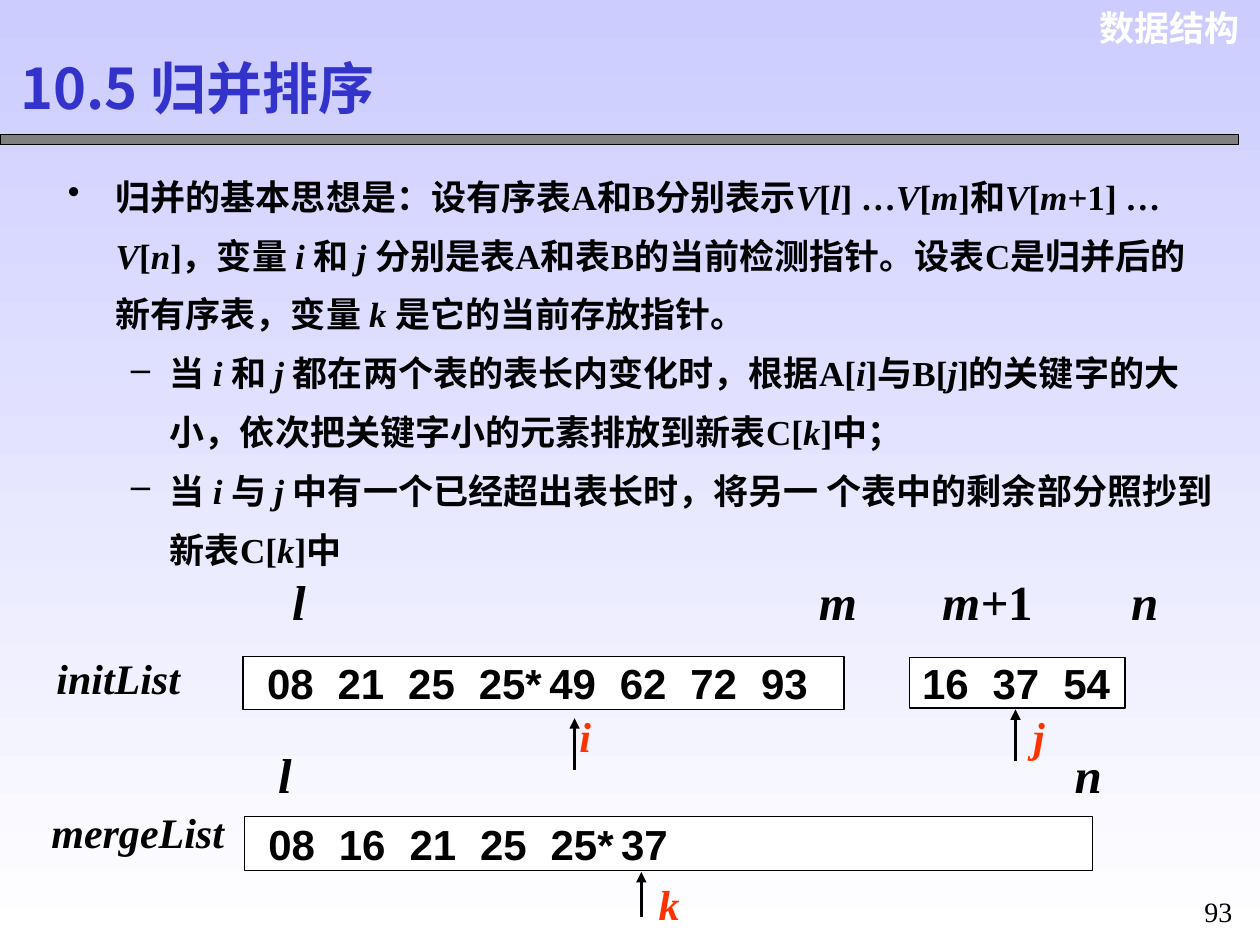
from lxml.etree import SubElement
from pptx import Presentation
from pptx.dml.color import RGBColor
from pptx.enum.shapes import MSO_CONNECTOR as Connector, MSO_SHAPE as Shape
from pptx.enum.text import MSO_ANCHOR as Anchor, PP_ALIGN as Align
from pptx.oxml.ns import qn
from pptx.util import Inches, Pt

BLACK = RGBColor(0x00, 0x00, 0x00)
WHITE = RGBColor(0xFF, 0xFF, 0xFF)
GRAY = RGBColor(0x80, 0x80, 0x80)
LAVENDER = RGBColor(0xCC, 0xCC, 0xFF)
BLUE = RGBColor(0x33, 0x33, 0xCC)
RED = RGBColor(0xFF, 0x33, 0x00)
SERIF, SANS, CHINESE = "Times New Roman", "Arial", "Noto Sans CJK SC"
NUMBER_STEP = 0.56


def write(para, text, size=20, font=SERIF, color=BLACK, bold=True, align=Align.LEFT):
    para.alignment = align
    for index, part in enumerate(text.split("_")):
        if part:
            span = para.add_run()
            span.text = part
            span.font.size = Pt(size)
            span.font.name = font
            span.font.bold = bold
            span.font.italic = index % 2 == 1
            span.font.color.rgb = color
            SubElement(span.font._element, qn("a:ea"), typeface=CHINESE)


def add_rectangle(left, top, width, height, fill):
    bar = page.shapes.add_shape(
        Shape.RECTANGLE, Inches(left), Inches(top), Inches(width), Inches(height))
    bar.shadow.inherit = False
    bar.fill.solid()
    bar.fill.fore_color.rgb = fill
    bar.line.color.rgb = BLACK
    bar.line.width = Pt(0.75)
    return bar


deck = Presentation()
deck.slide_width, deck.slide_height = Inches(10), Inches(7.5)
page = deck.slides.add_slide(deck.slide_layouts[5])

backdrop = page.background.fill
backdrop.gradient()
backdrop.gradient_angle = 270
for stop, color in zip(backdrop.gradient_stops, (LAVENDER, WHITE)):
    stop.color.rgb = color

title = page.shapes.title
title.left, title.top = Inches(0.06), Inches(0.34)
title.width, title.height = Inches(3.98), Inches(0.71)
title.text_frame.vertical_anchor = Anchor.MIDDLE
write(title.text_frame.paragraphs[0], "10.5 归并排序", size=32, font=CHINESE, color=BLUE)

add_rectangle(0, 1.07, 9.83, 0.08, GRAY)

points = [
    (0, "归并的基本思想是：设有序表A和B分别表示_V_[_l_] …_V_[_m_]和_V_[_m_+1] … "
        "_V_[_n_]，变量 _i _和 _j _分别是表A和表B的当前检测指针。"
        "设表C是归并后的新有序表，变量 _k _是它的当前存放指针。"),
    (1, "当 _i _和 _j _都在两个表的表长内变化时，根据A[_i_]与B[_j_]的关键字的大小，"
        "依次把关键字小的元素排放到新表C[_k_]中；"),
    (1, "当 _i _与 _j _中有一个已经超出表长时，将另一 个表中的剩余部分照抄到新表C[_k_]中"),
]
bullets = [("•", 0.38, -0.38), ("–", 0.81, -0.31)]
body = page.shapes.add_textbox(Inches(0.44), Inches(1.21), Inches(9.29), Inches(3.5)).text_frame
body.word_wrap = True
for index, (level, text) in enumerate(points):
    para = body.add_paragraph() if index else body.paragraphs[0]
    para.level = level
    para.line_spacing = 1.4
    mark, margin, indent = bullets[level]
    properties = para._p.get_or_add_pPr()
    properties.set("marL", str(Inches(margin)))
    properties.set("indent", str(Inches(indent)))
    SubElement(properties, qn("a:buChar"), char=mark)
    write(para, text)

number_lists = [
    (1.93, 5.21, 4.77, 0.42, 0.19, "08 21 25 25* 49 62 72 93"),
    (7.22, 5.22, 1.71, 0.40, 0.10, "16 37 54"),
    (1.94, 6.48, 6.73, 0.43, 0.19, "08 16 21 25 25* 37"),
]
for left, top, width, height, inset, numbers in number_lists:
    box = add_rectangle(left, top, width, height, WHITE)
    frame = box.text_frame
    frame.word_wrap = True
    frame.margin_left = Inches(inset)
    frame.margin_right = 0
    frame.vertical_anchor = Anchor.MIDDLE
    para = frame.paragraphs[0]
    values = numbers.split()
    tabs = SubElement(para._p.get_or_add_pPr(), qn("a:tabLst"))
    for column in range(1, len(values)):
        SubElement(tabs, qn("a:tab"), pos=str(Inches(column * NUMBER_STEP)), algn="l")
    write(para, "\t".join(values), size=24, font=SANS)

index_style = dict(size=28)
list_style = dict(size=24)
pointer_style = dict(size=24, color=RED)
labels = [
    (8.57, 0, 1.37, 0.44, "数据结构", dict(font=SANS, color=WHITE, align=Align.RIGHT)),
    (2.22, 4.49, 0.4, 0.57, "_l_", index_style),
    (6.40, 4.49, 0.6, 0.57, "_m_", index_style),
    (7.38, 4.49, 1.1, 0.57, "_m+_1", index_style),
    (8.88, 4.49, 0.5, 0.57, "_n_", index_style),
    (2.11, 5.86, 0.4, 0.57, "_l_", index_style),
    (8.43, 5.86, 0.5, 0.57, "_n_", index_style),
    (0.35, 5.13, 1.3, 0.5, "_initList_", list_style),
    (0.31, 6.35, 1.6, 0.5, "_mergeList_", list_style),
    (4.50, 5.59, 0.35, 0.5, "_i_", pointer_style),
    (8.10, 5.59, 0.35, 0.5, "_j_", pointer_style),
    (5.13, 6.92, 0.4, 0.5, "_k_", pointer_style),
    (9.42, 7.05, 0.5, 0.4, "93", dict(size=16, bold=False, align=Align.CENTER)),
]
for left, top, width, height, text, style in labels:
    box = page.shapes.add_textbox(Inches(left), Inches(top), Inches(width), Inches(height))
    box.text_frame.word_wrap = True
    write(box.text_frame.paragraphs[0], text, **style)

for x, bottom, tip in [(4.56, 6.11, 5.7), (8.06, 6.04, 5.63), (5.09, 7.28, 6.92)]:
    arrow = page.shapes.add_connector(
        Connector.STRAIGHT, Inches(x), Inches(bottom), Inches(x), Inches(tip))
    arrow.line.color.rgb = BLACK
    arrow.line.width = Pt(1.5)
    SubElement(arrow.line._get_or_add_ln(), qn("a:tailEnd"), type="triangle")
    SubElement(arrow._element.spPr, qn("a:effectLst"))

deck.save("out.pptx")
